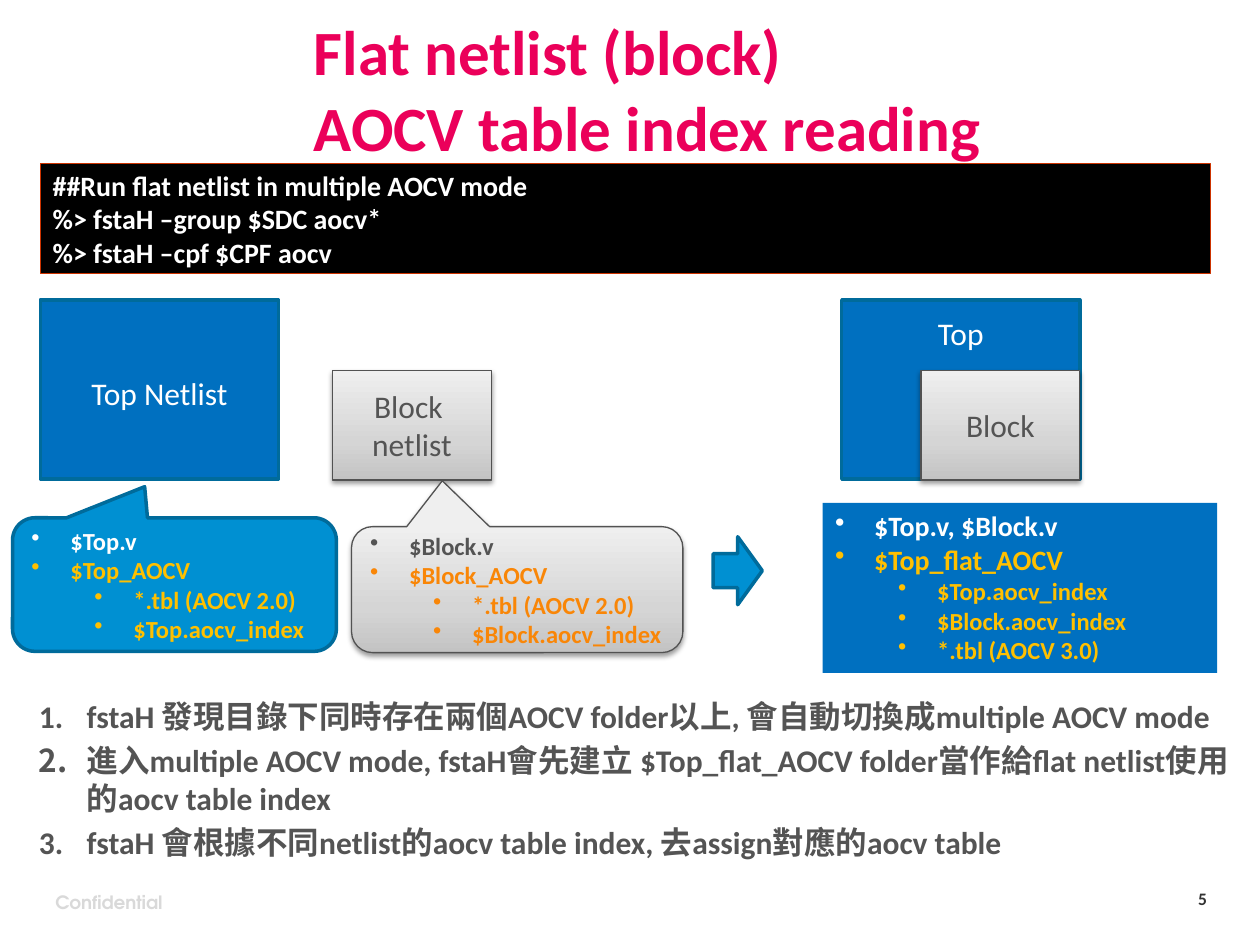
from copy import deepcopy

from lxml import etree
from pptx import Presentation, util as u
from pptx.dml import color
from pptx.enum import shapes, text
from pptx.oxml import ns

THEME = {
    "font": "Calibri", "footer_font": "TeX Gyre Adventor",
    "title": "EB005A", "body": "545454", "white": "FFFFFF", "black": "000000",
    "blue": "0070C0", "sky": "0090D2", "blue_line": "006B9B",
    "gray_line": "525252", "command_line": "CC3300",
    "gold": "FFC000", "orange": "F98607", "number": "333333", "footer": "D9D9D9",
    "gradient": [(0, "C3C3C3"), (0.35, "D5D5D5"), (1, "EFEFEF")],
    "title_size": 36, "large": 18, "medium": 16, "small": 14,
    "footer_size": 10.5, "number_size": 10,
}
LEFT, CENTER = text.PP_ALIGN.LEFT, text.PP_ALIGN.CENTER
TOP, MIDDLE = text.MSO_ANCHOR.TOP, text.MSO_ANCHOR.MIDDLE
RECTANGLE = shapes.MSO_SHAPE.RECTANGLE
CALLOUT = shapes.MSO_SHAPE.ROUNDED_RECTANGULAR_CALLOUT


def write(frame, lines, size, ink, bold=True, align=LEFT, anchor=MIDDLE,
          font=THEME["font"], wrap=True):
    """Fill a frame; a line is a string or (string, format values)."""
    frame.word_wrap, frame.vertical_anchor = wrap, anchor
    for index, line in enumerate(lines):
        words, changes = (line, {}) if isinstance(line, str) else line
        paragraph = frame.paragraphs[0] if index == 0 else frame.add_paragraph()
        paragraph.text, paragraph.alignment = words, align
        values = {"name": font, "size": u.Pt(changes.get("size", size)), "bold": bold}
        for run in paragraph.runs:
            for name, value in values.items():
                setattr(run.font, name, value)
            run.font.color.rgb = color.RGBColor.from_string(THEME[changes.get("ink", ink)])
        if "bullet" in changes:
            tag, attribute, value, margin, hanging = changes["bullet"]
            paragraph.level = changes.get("level", 0)
            properties = paragraph._p.get_or_add_pPr()
            properties.set("marL", str(u.Inches(margin)))
            properties.set("indent", str(-u.Inches(hanging)))
            if tag == "buAutoNum":
                paragraph.space_before = u.Pt(size * 0.2)
            etree.SubElement(properties, ns.qn("a:" + tag)).set(attribute, value)


def add_box(kind, place, fill, line=None, width=2):
    """Add a preset shape in a plain colour or the shaded gray gradient."""
    shape = slide.shapes.add_shape(kind, *map(u.Inches, place))
    shape.shadow.inherit = False
    if fill == "gradient":
        shape.fill.gradient()
        shape.fill.gradient_angle = 90
        stop_list = shape._element.spPr.find(".//" + ns.qn("a:gsLst"))
        stop_list.append(deepcopy(stop_list[0]))
        for stop, (position, value) in zip(shape.fill.gradient_stops, THEME["gradient"]):
            stop.position = position
            stop.color.rgb = color.RGBColor.from_string(value)
        effects = shape._element.spPr.find(ns.qn("a:effectLst"))
        shadow = etree.SubElement(effects, ns.qn("a:outerShdw"), blurRad=str(u.Pt(3.1)),
                                  dist=str(u.Pt(1.6)), dir="5400000", rotWithShape="0")
        shade = etree.SubElement(shadow, ns.qn("a:srgbClr"), val=THEME["black"])
        etree.SubElement(shade, ns.qn("a:alpha"), val="38000")
    else:
        shape.fill.solid()
        shape.fill.fore_color.rgb = color.RGBColor.from_string(THEME[fill])
    if line:
        shape.line.color.rgb = color.RGBColor.from_string(THEME[line])
        shape.line.width = u.Pt(width)
    else:
        shape.line.fill.background()
    return shape


presentation = Presentation()
presentation.slide_width, presentation.slide_height = u.Inches(10), u.Inches(7.5)
slide = presentation.slides.add_slide(presentation.slide_layouts[5])

# Title
title = slide.shapes.title
for name, value in {"left": 2.39, "top": 0.11, "width": 8.27, "height": 1.18}.items():
    setattr(title, name, u.Inches(value))
write(title.text_frame, ["Flat netlist (block)\vAOCV table index reading"],
      THEME["title_size"], "title")

# Page number, footer and numbered notes
number = {"bullet": ("buAutoNum", "type", "arabicPeriod", 0.38, 0.38)}
notes = [
    "fstaH 發現目錄下同時存在兩個AOCV folder以上, 會自動切換成multiple AOCV mode",
    "進入multiple AOCV mode, fstaH會先建立 $Top_flat_AOCV folder當作給flat netlist使用的aocv table index",
    "fstaH 會根據不同netlist的aocv table index, 去assign對應的aocv table",
]
for place, lines, values in [
    ((9.41, 7, 0.55, 0.27), ["5"], {"size": THEME["number_size"], "ink": "number"}),
    ((0.34, 7.02, 1.11, 0.29), ["Confidential"],
     {"size": THEME["footer_size"], "ink": "footer", "font": THEME["footer_font"], "wrap": False}),
    ((0.21, 5.48, 9.79, 1.4), [(note, number) for note in notes],
     {"size": THEME["large"], "ink": "body"}),
]:
    text_box = slide.shapes.add_textbox(*map(u.Inches, place))
    write(text_box.text_frame, lines, anchor=TOP, **values)

# Commands
commands = add_box(RECTANGLE, (0.32, 1.3, 9.29, 0.87), "black", "command_line", 0.5)
write(commands.text_frame, ["##Run flat netlist in multiple AOCV mode",
                            "%> fstaH –group $SDC aocv*", "%> fstaH –cpf $CPF aocv"],
      THEME["medium"], "white")

# Netlists: separate on the left, block inside top on the right
for left, words, anchor in [(0.32, "Top Netlist", MIDDLE), (6.68, "Top", TOP)]:
    top_netlist = add_box(RECTANGLE, (left, 2.38, 1.89, 1.42), "blue", "blue_line")
    top_netlist.text_frame.margin_top = u.Inches(0.11)
    write(top_netlist.text_frame, [words], THEME["large"], "white", False, CENTER, anchor)
for left, lines in [(2.64, ["Block ", "netlist"]), (7.31, ["Block"])]:
    block_netlist = add_box(RECTANGLE, (left, 2.94, 1.26, 0.87), "gradient", "gray_line", 0.75)
    write(block_netlist.text_frame, lines, THEME["large"], "body", False, CENTER)

# File lists: two callouts and the merged result
file_lists = [
    (CALLOUT, (0.1, 4.11, 2.57, 1.06), ("sky", "blue_line", 2), (-0.092, -0.733, 0.167),
     "white", "gold", THEME["small"], MIDDLE,
     ["$Top.v", "$Top_AOCV", "*.tbl (AOCV 2.0)", "$Top.aocv_index"]),
    (CALLOUT, (2.79, 4.18, 2.63, 1), ("gradient", "gray_line", 0.75), (-0.226, -0.864, 0.167),
     "body", "orange", THEME["small"], MIDDLE,
     ["$Block.v", "$Block_AOCV", "*.tbl (AOCV 2.0)", "$Block.aocv_index"]),
    (RECTANGLE, (6.53, 3.99, 3.13, 1.35), ("blue",), (),
     "white", "gold", THEME["medium"], TOP,
     ["$Top.v, $Block.v", "$Top_flat_AOCV", "$Top.aocv_index", "$Block.aocv_index",
      "*.tbl (AOCV 3.0)"]),
]
for kind, place, style, adjustments, ink, accent, size, anchor, files in file_lists:
    file_list = add_box(kind, place, *style)
    for index, value in enumerate(adjustments):
        file_list.adjustments[index] = value
    lines = []
    for index, words in enumerate(files):
        level = int(index > 1)
        lines.append((words, {
            "ink": accent if index else ink, "level": level,
            "size": THEME["small"] if level else size,
            "bullet": ("buChar", "char", "•", 0.31 + 0.5 * level, 0.31)}))
    write(file_list.text_frame, lines, size, ink, anchor=anchor)

# Arrow to the merged result
add_box(shapes.MSO_SHAPE.RIGHT_ARROW, (5.66, 4.26, 0.39, 0.54), "sky", "blue_line")

presentation.save("out.pptx")
